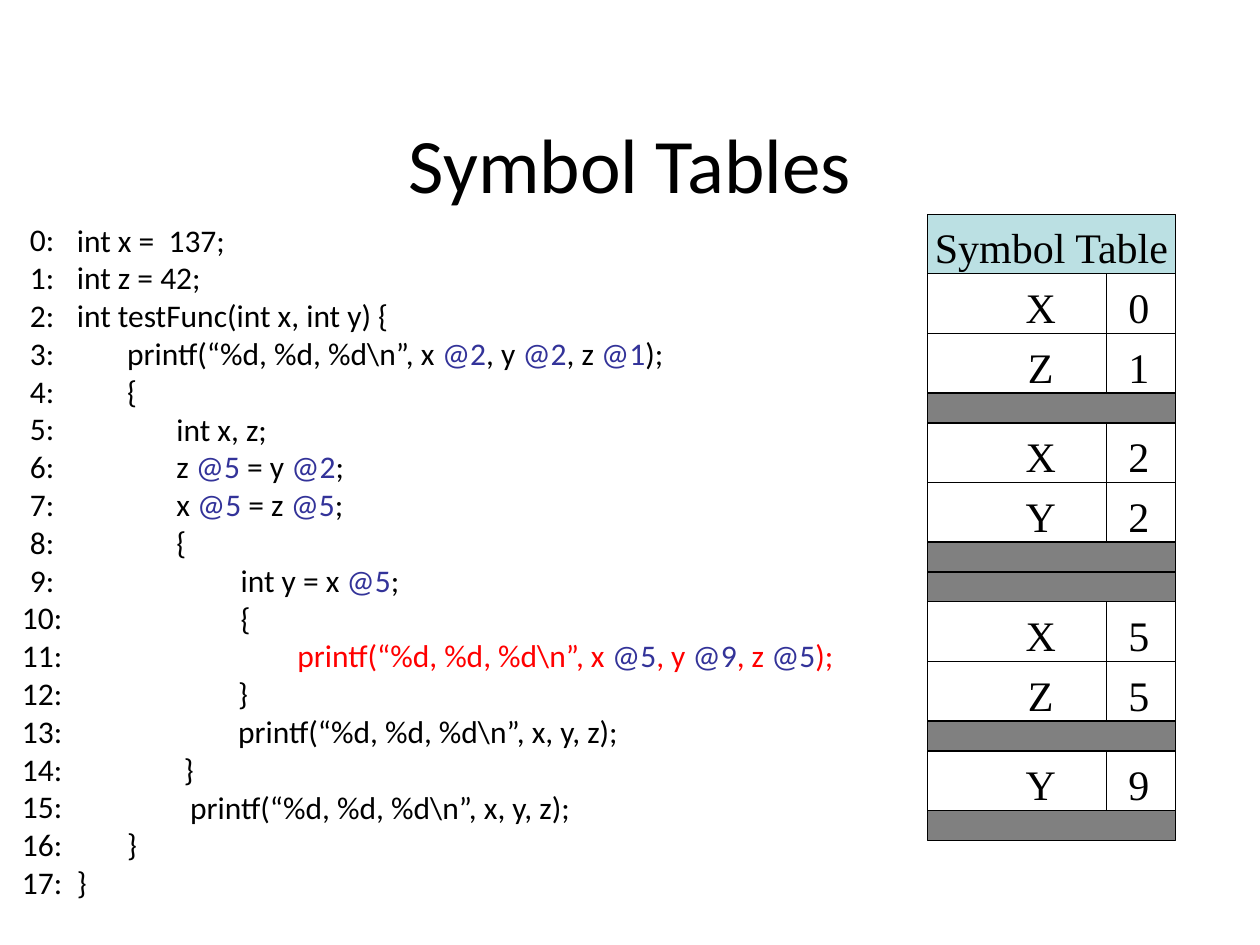
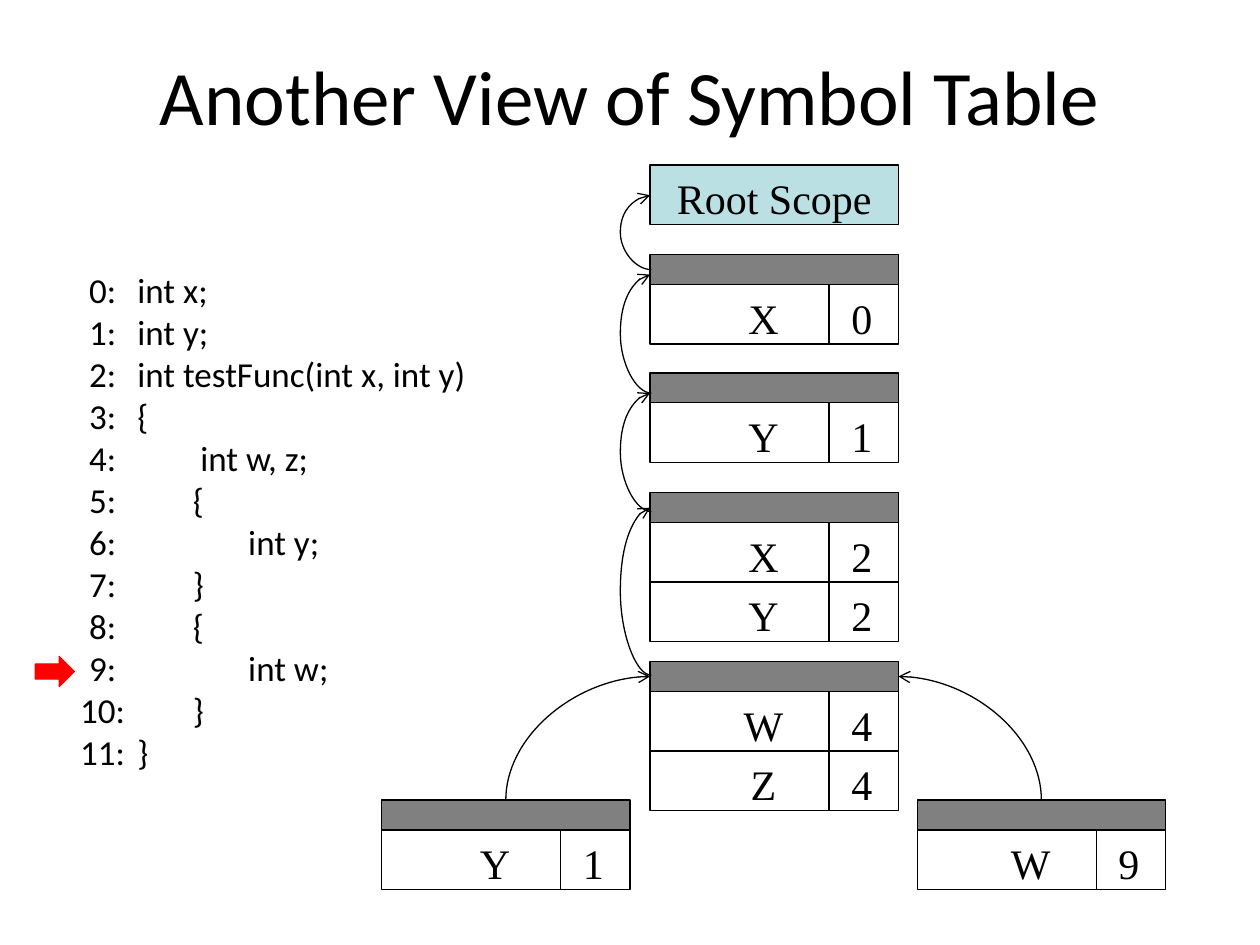
from pptx import Presentation
from pptx.dml.color import RGBColor as Rgb
from pptx.enum.shapes import MSO_CONNECTOR as Link, MSO_SHAPE as Form
from pptx.enum.text import MSO_ANCHOR as Anchor, MSO_AUTO_SIZE as Auto, PP_ALIGN as Align
from pptx.oxml.ns import qn
from pptx.util import Inches, Pt
from lxml.etree import SubElement as Sub

HUES = {"ink": "000000", "paper": "FFFFFF", "head": "BBE0E3", "bar": "808080",
        "ref": "333399", "hot": "FF0000"}
SANS, SERIF = "Calibri", "Times New Roman"

PAGES = [
    {
        "title": "Symbol Tables", "top": 0.67, "size": 18,
        "code": (0.51, 1.7, 7, 5.55), "nums": (0, 1.7, 0.67, 5.55),
        "lines": [
            (0, "int x =  137;"),
            (0, "int z = 42;"),
            (0, "int testFunc(int x, int y) {"),
            (0.4, "printf(“%d, %d, %d\\n”, x @2, y @2, z @1);"),
            (0.4, "{"),
            (0.79, "int x, z;"),
            (0.79, "z @5 = y @2;"),
            (0.79, "x @5 = z @5;"),
            (0.79, "{"),
            (1.3, "int y = x @5;"),
            (1.3, "{"),
            (1.75, "printf(“%d, %d, %d\\n”, x @5, y @9, z @5);"),
            (1.28, "}"),
            (1.28, "printf(“%d, %d, %d\\n”, x, y, z);"),
            (0.85, "}"),
            (0.9, "printf(“%d, %d, %d\\n”, x, y, z);"),
            (0.4, "}"),
            (0, "}"),
        ],
        "hot": 11,
        "stacks": [(7.36, 1.7, ["Symbol Table", "X0", "Z1", "", "X2", "Y2", "", "",
                                "X5", "Z5", "", "Y9", ""])],
    },
    {
        "title": "Another View of Symbol Table", "top": 0.13, "size": 20,
        "code": (0.99, 2.08, 3.93, 4.5), "nums": (0.48, 2.08, 0.67, 4.14),
        "lines": [
            (0, "int x;"),
            (0, "int y;"),
            (0, "int testFunc(int x, int y)"),
            (0, "{"),
            (0.5, "int w, z;"),
            (0.44, "{"),
            (0.88, "int y;"),
            (0.44, "}"),
            (0.44, "{"),
            (0.88, "int w;"),
            (0.44, "}"),
            (0, "}"),
        ],
        "stacks": [
            (5.16, 1.31, ["Root Scope"]),
            (5.16, 2.02, ["", "X0"]),
            (5.16, 2.96, ["", "Y1"]),
            (5.16, 3.91, ["", "X2", "Y2"]),
            (5.16, 5.25, ["", "W4", "Z4"]),
            (3.03, 6.35, ["", "Y1"]),
            (7.28, 6.35, ["", "W9"]),
        ],
        "loops": [(2.14, 1.55), (3.12, 2.18), (4.06, 3.12), (5.36, 4.03)],
        "bends": [(4, 1, 5), (4, 3, 6)],
        "mark": (0.28, 5.21, 0.31, 0.24),
    },
]

UNIT = 4.97 / 21
WIDE, SPLIT = 1.97, 1.42
STOPS = (0.9, 1.68)
EDGE, STEP, BULGE = 5.16, 0.01, 0.25


def put(thing, **vals):
    for key, val in vals.items():
        setattr(thing, key, val)


def hue(name):
    return Rgb.from_string(HUES[name])


def inch(*vals):
    return [Inches(v) for v in vals]


def place(shape, box):
    put(shape, **dict(zip(("left", "top", "width", "height"), inch(*box))))


def say(para, text, size, face, ink="ink"):
    run = para.add_run()
    put(run, text=text)
    put(run.font, size=Pt(size), name=face)
    run.font.color.rgb = hue(ink)


def rows(frame, count):
    put(frame, word_wrap=True, auto_size=Auto.NONE, vertical_anchor=Anchor.TOP)
    for n in range(count):
        para = frame.paragraphs[0] if n == 0 else frame.add_paragraph()
        put(para, space_before=Pt(0), space_after=Pt(0), line_spacing=1.0)
        yield n, para


def code(slide, page):
    body, lines, size = slide.placeholders[1], page["lines"], page["size"]
    place(body, page["code"])
    for n, para in rows(body.text_frame, len(lines)):
        gap, text = lines[n]
        props = para._p.get_or_add_pPr()
        props.set("marL", str(Inches(gap)))
        props.set("indent", "0")
        Sub(props, qn("a:buNone"))
        ink = "hot" if n == page.get("hot") else "ink"
        first, *rest = text.split("@")
        say(para, first, size, SANS, ink)
        for part in rest:
            say(para, "@" + part[0], size, SANS, "ref")
            say(para, part[1:], size, SANS, ink)
    nums = slide.shapes.add_textbox(*inch(*page["nums"]))
    for n, para in rows(nums.text_frame, len(lines)):
        put(para, alignment=Align.CENTER)
        say(para, f"{n}:", size, SANS)


def block(slide, form, box, fill, edge="ink"):
    shape = slide.shapes.add_shape(form, *inch(*box))
    shape.shadow.inherit = False
    shape.fill.solid()
    shape.fill.fore_color.rgb = hue(fill)
    shape.line.color.rgb = hue(edge)
    shape.line.width = Pt(0.75)
    return shape


def wire(slide, kind, start, stop):
    line = slide.shapes.add_connector(kind, *inch(*start, *stop))
    line.line.color.rgb = hue("ink")
    line.line.width = Pt(0.75)
    Sub(line._element.spPr, qn("a:effectLst"))
    return line


def tip(line, end):
    Sub(line.line._get_or_add_ln(), qn("a:" + end)).set("type", "arrow")


def stack(slide, x, y, items):
    shapes = []
    for item in items:
        pair = len(item) == 2
        high = UNIT * (2 if item else 1)
        fill = "paper" if pair else "head" if item else "bar"
        shape = block(slide, Form.RECTANGLE, (x, y, WIDE, high), fill)
        shapes.append(shape)
        if item:
            frame = shape.text_frame
            put(frame, word_wrap=True, vertical_anchor=Anchor.MIDDLE, margin_left=0,
                margin_right=0, margin_top=Inches(0.05), margin_bottom=0)
            para = frame.paragraphs[0]
            put(para, alignment=Align.LEFT if pair else Align.CENTER)
            say(para, "".join("\t" + c for c in item) if pair else item, 24, SERIF)
        if pair:
            tabs = Sub(para._p.get_or_add_pPr(), qn("a:tabLst"))
            for stop in STOPS:
                tab = Sub(tabs, qn("a:tab"))
                tab.set("pos", str(Inches(stop)))
                tab.set("algn", "ctr")
            wire(slide, Link.STRAIGHT, (x + SPLIT, y), (x + SPLIT, y + high))
        y += high
    return shapes


def loop(slide, low, high):
    line = wire(slide, Link.CURVE, (EDGE + STEP, low), (EDGE, high))
    guide = Sub(line._element.spPr.find(qn("a:prstGeom")).get_or_add_avLst(), qn("a:gd"))
    guide.set("name", "adj1")
    guide.set("fmla", f"val {round(BULGE / STEP * 100000)}")
    tip(line, "tailEnd")


def bend(slide, root, side, leaf):
    line = wire(slide, Link.CURVE, (0, 0), (1, 1))
    line.begin_connect(root, side)
    line.end_connect(leaf, 0)
    line._element.spPr.find(qn("a:prstGeom")).set("prst", "curvedConnector2")
    tip(line, "headEnd")


def build(deck, page):
    slide = deck.slides.add_slide(deck.slide_layouts[1])
    title = slide.shapes.title
    place(title, (0.75, page["top"], 8.5, 1.25))
    put(title.text_frame, vertical_anchor=Anchor.MIDDLE, auto_size=Auto.NONE)
    para = title.text_frame.paragraphs[0]
    put(para, alignment=Align.CENTER)
    say(para, page["title"], 44, SANS)
    code(slide, page)
    tops = [stack(slide, *part)[0] for part in page["stacks"]]
    for low, high in page.get("loops", []):
        loop(slide, low, high)
    for root, side, leaf in page.get("bends", []):
        bend(slide, tops[root], side, tops[leaf])
    if "mark" in page:
        block(slide, Form.RIGHT_ARROW, page["mark"], "hot", "hot")


def main():
    deck = Presentation()
    put(deck, slide_width=Inches(10), slide_height=Inches(7.5))
    for page in PAGES:
        build(deck, page)
    deck.save("out.pptx")


if __name__ == "__main__":
    main()
